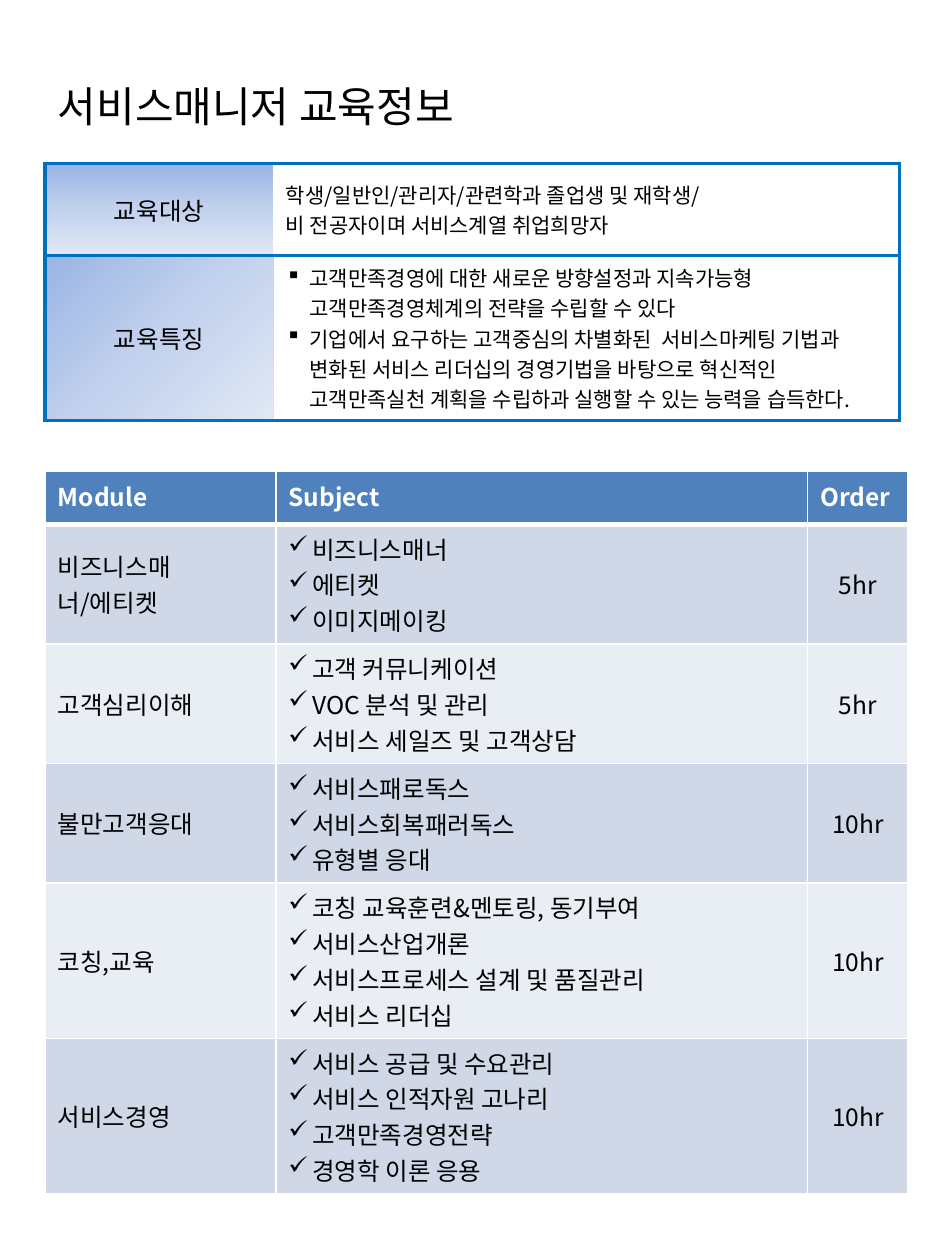
from lxml import etree
from pptx import Presentation
from pptx import util as u
from pptx.dml.color import RGBColor
from pptx.enum import text
from pptx.oxml import parse_xml
from pptx.oxml.ns import nsdecls, qn

FONT = "Noto Sans CJK KR"
NO_STYLE = "{2D5ABB26-0587-4C30-8999-92F81FD0307C}"
color = RGBColor.from_string
LEFT, CENTER = text.PP_ALIGN.LEFT, text.PP_ALIGN.CENTER
TOP, MIDDLE = text.MSO_ANCHOR.TOP, text.MSO_ANCHOR.MIDDLE


def write(frame, lines, size, hue="000000", bold=False, align=LEFT, bullet=None):
    for index, line in enumerate(lines):
        paragraph = frame.add_paragraph() if index else frame.paragraphs[0]
        paragraph.alignment = align
        if bullet:
            properties = paragraph._p.get_or_add_pPr()
            properties.set("marL", str(u.Cm(0.48)))
            properties.set("indent", str(u.Cm(-0.48)))
            etree.SubElement(properties, qn("a:buChar")).set("char", bullet)
        run = paragraph.add_run()
        run.text = line
        for name, value in {"size": u.Pt(size), "bold": bold, "name": FONT}.items():
            setattr(run.font, name, value)
        run.font.color.rgb = color(hue)
        etree.SubElement(run._r.get_or_add_rPr(), qn("a:ea")).set("typeface", FONT)


def draw_borders(cell, borders):
    for side in "LRTB":
        if side in borders:
            hue, width = borders[side]
            cell._tc.get_or_add_tcPr().append(parse_xml(
                f'<a:ln{side} {nsdecls("a")} w="{u.Pt(width)}"><a:solidFill>'
                f'<a:srgbClr val="{hue}"/></a:solidFill></a:ln{side}>'))


presentation = Presentation()
presentation.slide_width, presentation.slide_height = u.Cm(19.05), u.Cm(25.4)
slide = presentation.slides.add_slide(presentation.slide_layouts[5])

title = slide.shapes.title
title_box = {"left": 0.91, "top": 1.5, "width": 11.4, "height": 1.27}
for name, value in title_box.items():
    setattr(title, name, u.Cm(value))
title_format = {"word_wrap": True, "vertical_anchor": TOP,
                "auto_size": text.MSO_AUTO_SIZE.SHAPE_TO_FIT_TEXT}
for name, value in title_format.items():
    setattr(title.text_frame, name, value)
write(title.text_frame, ["서비스매니저 교육정보"], 24)

modules = [
    ("비즈니스매너/에티켓", ["비즈니스매너", "에티켓", "이미지메이킹"], "5hr"),
    ("고객심리이해", ["고객 커뮤니케이션", "VOC 분석 및 관리", "서비스 세일즈 및 고객상담"], "5hr"),
    ("불만고객응대", ["서비스패로독스", "서비스회복패러독스", "유형별 응대"], "10hr"),
    ("코칭,교육", ["코칭 교육훈련&멘토링, 동기부여", "서비스산업개론",
               "서비스프로세스 설계 및 품질관리", "서비스 리더십"], "10hr"),
    ("서비스경영", ["서비스 공급 및 수요관리", "서비스 인적자원 고나리",
               "고객만족경영전략", "경영학 이론 응용"], "10hr"),
]
overview = [
    ("교육대상", ["학생/일반인/관리자/관련학과 졸업생 및 재학생/",
              "비 전공자이며 서비스계열 취업희망자"], None, MIDDLE, 90),
    ("교육특징", ["고객만족경영에 대한 새로운 방향설정과 지속가능형 고객만족경영체계의 전략을 수립할 수 있다",
              "기업에서 요구하는 고객중심의 차별화된  서비스마케팅 기법과 변화된 서비스 리더십의 "
              "경영기법을 바탕으로 혁신적인 고객만족실천 계획을 수립하과 실행할 수 있는 능력을 습득한다."],
     "▪", TOP, 45),
]

tables = []
for top, widths, heights in [
    (9.5, [4.65, 10.72, 2.03], [1.07] + [2.41] * 3 + [3.13] * 2),
    (3.3, [4.6, 12.62], [1.85, 3.33]),
]:
    frame = slide.shapes.add_table(len(heights), len(widths), u.Cm(0.91), u.Cm(top),
                                   u.Cm(sum(widths)), u.Cm(sum(heights)))
    next(frame._element.iter(qn("a:tableStyleId"))).text = NO_STYLE
    for column, width in zip(frame.table.columns, widths):
        column.width = u.Cm(width)
    for row, height in zip(frame.table.rows, heights):
        row.height = u.Cm(height)
    tables.append(frame.table)
module_table, overview_table = tables

thin, thick = ("FFFFFF", 1), ("FFFFFF", 3)
for column, heading in enumerate(["Module", "Subject", "Order"]):
    cell = module_table.cell(0, column)
    draw_borders(cell, {"L": thin, "R": thin, "T": thin, "B": thick})
    cell.fill.solid()
    cell.fill.fore_color.rgb = color("4F81BD")
    write(cell.text_frame, [heading], 14, "FFFFFF", True)

for row, (module, subjects, hours) in enumerate(modules, 1):
    contents = [([module], LEFT, None), (subjects, LEFT, "✓"), ([hours], CENTER, None)]
    for column, (lines, align, bullet) in enumerate(contents):
        cell = module_table.cell(row, column)
        draw_borders(cell, {"L": thin, "R": thin, "T": thick if row == 1 else thin, "B": thin})
        cell.fill.solid()
        cell.fill.fore_color.rgb = color("D0D8E8" if row % 2 else "E9EDF4")
        cell.vertical_anchor = MIDDLE
        write(cell.text_frame, lines, 14, align=align, bullet=bullet)

blue = ("0070C0", 2.25)
stops = "".join(f'<a:gs pos="{position * 1000}"><a:srgbClr val="{hue}"/></a:gs>'
                for position, hue in [(0, "9AB5E4"), (50, "C2D1ED"), (100, "E1E8F5")])
for row, (label, lines, bullet, anchor, angle) in enumerate(overview):
    cell = overview_table.cell(row, 0)
    draw_borders(cell, {"L": blue, "T": blue, "B": blue})
    cell._tc.get_or_add_tcPr().append(parse_xml(
        f'<a:gradFill {nsdecls("a")} rotWithShape="1"><a:gsLst>{stops}</a:gsLst>'
        f'<a:lin ang="{angle * 60000}" scaled="0"/></a:gradFill>'))
    cell.vertical_anchor = MIDDLE
    write(cell.text_frame, [label], 14, align=CENTER)

    cell = overview_table.cell(row, 1)
    draw_borders(cell, {"R": blue, "T": blue, "B": blue})
    cell.fill.background()
    cell.vertical_anchor = anchor
    write(cell.text_frame, lines, 12, bullet=bullet)

presentation.save("out.pptx")
